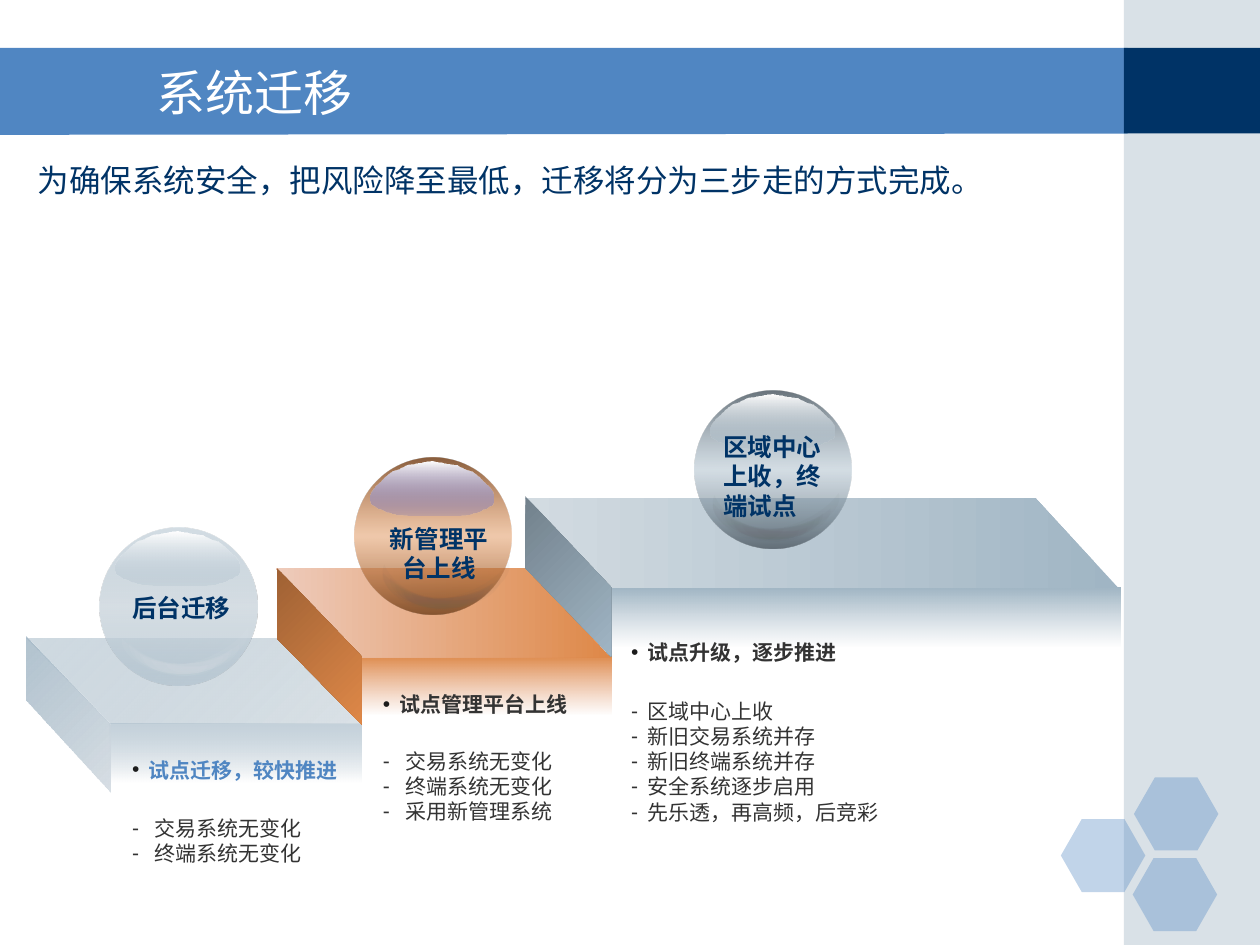
"""Build the system migration slide with three rising steps."""
import lxml.etree
import pptx
import pptx.dml.color
import pptx.enum.shapes
import pptx.enum.text
import pptx.oxml.ns
import pptx.util
from pptx.util import Inches

COLORS = {
    "blue": "5086C2", "navy": "003366", "steel": "A0B5C4", "mist": "D2DBE1",
    "pale": "D8DFE5", "haze": "ADBECB", "slate": "72818C", "iron": "59656E",
    "orange": "DE8848", "peach": "E29A70", "blush": "EECBBB", "rust": "9F6134",
    "brown": "7C4C28", "violet": "4C59D2", "white": "FFFFFF", "gray": "5F5F5F",
    "text": "333333", "bullet": "1C1C1C",
}
SHAPES = pptx.enum.shapes.MSO_SHAPE
ALIGN = pptx.enum.text.PP_ALIGN
CJK = "Noto Sans CJK SC"

GLOSS_RIGHT = [
    (0.5, 0), (0.57, 0.01), (0.63, 0.02), (0.69, 0.03), (0.75, 0.06), (0.81, 0.08),
    (0.86, 0.12), (0.9, 0.16), (0.94, 0.2), (0.97, 0.24), (0.98, 0.27), (0.98, 0.31),
    (0.97, 0.34), (0.95, 0.35), (0.92, 0.37), (0.89, 0.38), (0.85, 0.4), (0.81, 0.41),
    (0.77, 0.42), (0.67, 0.43), (0.59, 0.43),
]
GLOSS = GLOSS_RIGHT + [(0.98 - x, y) for x, y in reversed(GLOSS_RIGHT)]

MOONS = [
    (0, 0, 66.1), (-0.11, 0.05, 79.7), (-0.18, 0.06, 84.6), (-0.26, 0.06, 93.5),
    (-0.21, 0.06, 88.7), (-0.32, 0.06, 102.2), (-0.39, 0.05, 107.2),
]


def rgb(name):
    """Return the named color."""
    return pptx.dml.color.RGBColor.from_string(COLORS[name])


def add_child(parent, tag, **attributes):
    """Append a drawing element with the given attributes."""
    child = lxml.etree.SubElement(parent, pptx.oxml.ns.qn(tag))
    for key, value in attributes.items():
        child.set(key, str(value))
    return child


def add_color(parent, name, alpha):
    """Append a color with an opacity in percent."""
    color = add_child(parent, "a:srgbClr", val=COLORS[name])
    if alpha < 100:
        add_child(color, "a:alpha", val=alpha * 1000)


def paint(shape, *stops, angle=None):
    """Fill a shape with one color, or with evenly spaced gradient stops."""
    shape.shadow.inherit = False
    shape.line.fill.background()
    shape.fill.background()
    properties = shape._element.spPr
    blank = properties.find(pptx.oxml.ns.qn("a:noFill"))
    if angle is None:
        fill = add_child(properties, "a:solidFill")
        add_color(fill, *stops[0])
    else:
        fill = add_child(properties, "a:gradFill", rotWithShape=1)
        stop_list = add_child(fill, "a:gsLst")
        for index, stop in enumerate(stops):
            position = 100000 * index // (len(stops) - 1)
            add_color(add_child(stop_list, "a:gs", pos=position), *stop)
        add_child(fill, "a:lin", ang=angle * 60000, scaled=0)
    properties.replace(blank, fill)


def add_preset(slide, kind, box, *stops, angle=None, adjust=None, flip="", rotation=0):
    """Add a painted preset shape."""
    shape = slide.shapes.add_shape(kind, *map(Inches, box))
    if adjust is not None:
        shape.adjustments[0] = adjust
    shape.rotation = rotation
    for axis in flip:
        shape._element.spPr.xfrm.set("flip" + axis, "1")
    paint(shape, *stops, angle=angle)


def add_outline(slide, points, *stops, angle=None):
    """Add a painted closed polygon."""
    corners = [(Inches(x), Inches(y)) for x, y in points]
    builder = slide.shapes.build_freeform(*corners[0], scale=1.0)
    builder.add_line_segments(corners[1:], close=True)
    paint(builder.convert_to_shape(), *stops, angle=angle)


def add_run(paragraph, text, size, color, font="Arial", bold=False):
    """Add a formatted run."""
    run = paragraph.add_run()
    run.text = text
    run.font.size = pptx.util.Pt(size)
    run.font.name = font
    run.font.bold = bold
    run.font.color.rgb = rgb(color)
    add_child(run.font._element, "a:ea", typeface=font)


def add_text_frame(slide, box):
    """Add a wrapping text box and return its frame."""
    frame = slide.shapes.add_textbox(*map(Inches, box)).text_frame
    frame.word_wrap = True
    return frame


def add_label(slide, box, text, size=14, font="Arial", bold=True, align=ALIGN.LEFT):
    """Add a navy text box of one paragraph."""
    paragraph = add_text_frame(slide, box).paragraphs[0]
    paragraph.alignment = align
    add_run(paragraph, text, size, "navy", font, bold)


def set_bullet(paragraph, character, color, indent):
    """Give a paragraph a hanging bullet."""
    properties = paragraph._p.get_or_add_pPr()
    properties.set("marL", str(Inches(indent)))
    properties.set("indent", str(-Inches(indent)))
    add_color(add_child(properties, "a:buClr"), color, 100)
    add_child(properties, "a:buFont", typeface="Arial")
    add_child(properties, "a:buChar", char=character)


def add_details(slide, box, heading, color, items, indent, gap):
    """Add a bold heading with a dashed list under it."""
    frame = add_text_frame(slide, box)
    set_bullet(frame.paragraphs[0], "•", "bullet", 0.13)
    add_run(frame.paragraphs[0], heading, 12, color, bold=True)
    for index, item in enumerate(items):
        paragraph = frame.add_paragraph()
        set_bullet(paragraph, "-", "text", indent)
        if index == 0:
            paragraph.space_before = pptx.util.Pt(gap)
        add_run(paragraph, item, 12, "text")


def add_sphere(slide, left, top, edge, middle, shine):
    """Add a glass sphere with its highlight."""
    add_preset(slide, SHAPES.OVAL, (left, top, 1.25, 1.25), edge, middle, edge, angle=90)
    points = [(left + 0.13 + x, top + 0.03 + y) for x, y in GLOSS]
    add_outline(slide, points, ("white", 100), (shine, 18), angle=90)


def add_moons(slide, left, top, color, extra):
    """Add the faint crescents at the foot of a sphere."""
    boxes = [((left + x, top + y, 0.17, 0.71), turn) for x, y, turn in MOONS]
    if extra:
        boxes.append(((left - 0.48, top + 0.07, 0.2, 0.61), 116))
    for box, turn in boxes:
        add_preset(slide, SHAPES.MOON, box, (color, 4), adjust=0.498, flip="HV", rotation=turn)


def add_frame(slide):
    """Add the banner, side band, hexagons and title."""
    banner = [(-0.01, 0.38), (8.95, 0.38), (8.95, 1.06), (-0.01, 1.07)]
    add_outline(slide, banner, ("blue", 100))
    add_preset(slide, SHAPES.RECTANGLE, (8.92, 0, 1.08, 7.5), ("steel", 40))
    add_preset(slide, SHAPES.RECTANGLE, (8.92, 0.38, 1.08, 0.68), ("navy", 100))
    for left, top in [(8.42, 6.5), (9, 6.17), (8.99, 6.81)]:
        add_preset(slide, SHAPES.HEXAGON, (left, top, 0.67, 0.58), ("blue", 35), adjust=0.286)
    title = slide.shapes.title
    title.left, title.top, title.width, title.height = map(Inches, (1.14, 0.42, 7.8, 0.62))
    title.text_frame.vertical_anchor = pptx.enum.text.MSO_ANCHOR.MIDDLE
    title.text_frame.paragraphs[0].alignment = ALIGN.LEFT
    add_run(title.text_frame.paragraphs[0], "系统迁移", 28, "white", CJK)
    title._element.getparent().append(title._element)


def add_steps(slide):
    """Add the fronts, tops and sides of the steps."""
    fronts = [
        ((4.85, 4.66, 4.04, 0.47), ("steel", 100), ("haze", 0)),
        ((2.87, 5.2, 1.98, 0.47), ("orange", 100), ("peach", 0)),
        ((0.87, 5.74, 2, 0.47), ("steel", 61), ("white", 100)),
    ]
    for box, *stops in fronts:
        add_preset(slide, SHAPES.RECTANGLE, box, *stops, angle=90)
    tops = [
        ((0.21, 5.07, 2.66, 0.67), 0.986, 315, ("mist", 82), ("steel", 50)),
        ((2.19, 4.51, 2.66, 0.71), 0.963, 0, ("orange", 100), ("blush", 100)),
        ((4.17, 3.95, 4.71, 0.72), 0.923, 0, ("steel", 100), ("mist", 100)),
    ]
    for box, slant, angle, *stops in tops:
        add_preset(slide, SHAPES.PARALLELOGRAM, box, *stops, angle=angle, adjust=slant, flip="H")
    sides = [
        ([(2.2, 5.07), (2.87, 5.75), (2.87, 5.21), (2.2, 4.51)], ("rust", 100), ("orange", 100)),
        ([(4.17, 4.51), (4.85, 5.21), (4.85, 4.66), (4.17, 3.94)], ("slate", 100), ("steel", 100)),
        ([(0.21, 5.56), (0.88, 6.29), (0.88, 5.75), (0.21, 5.05)], ("steel", 80), ("pale", 100)),
    ]
    for points, *stops in sides:
        add_outline(slide, points, *stops, angle=45)


def main():
    """Build and save the slide."""
    presentation = pptx.Presentation()
    presentation.slide_width, presentation.slide_height = Inches(10), Inches(7.5)
    slide = presentation.slides.add_slide(presentation.slide_layouts[5])
    add_frame(slide)
    add_steps(slide)
    add_sphere(slide, 0.79, 4.19, ("steel", 45), ("mist", 90), "steel")
    add_sphere(slide, 2.81, 3.63, ("brown", 90), ("orange", 45), "violet")
    add_sphere(slide, 5.51, 3.1, ("iron", 90), ("steel", 45), "steel")
    add_label(slide, (0.95, 4.66, 1.05, 0.33), "后台迁移")
    add_label(slide, (2.96, 4.11, 1.05, 0.57), "新管理平台上线", align=ALIGN.CENTER)
    add_label(slide, (5.64, 3.38, 1.05, 0.81), "区域中心上收，终端试点")
    add_details(slide, (0.95, 5.96, 1.85, 1.01), "试点迁移，较快推进", "blue",
                ["交易系统无变化", "终端系统无变化"], 0.18, 19)
    add_details(slide, (2.94, 5.44, 1.9, 1.17), "试点管理平台上线", "text",
                ["交易系统无变化", "终端系统无变化", "采用新管理系统"], 0.18, 18)
    add_details(slide, (4.91, 5.03, 2.25, 1.64), "试点升级，逐步推进", "text",
                ["区域中心上收", "新旧交易系统并存", "新旧终端系统并存",
                 "安全系统逐步启用", "先乐透，再高频，后竞彩"], 0.13, 19)
    add_moons(slide, 1.59, 4.85, "white", False)
    add_moons(slide, 3.66, 4.33, "gray", True)
    add_moons(slide, 6.28, 3.78, "gray", True)
    add_label(slide, (0.2, 1.23, 8.74, 0.71), "为确保系统安全，把风险降至最低，迁移将分为三步走的方式完成。",
              18, CJK, False)
    presentation.save("out.pptx")


if __name__ == "__main__":
    main()
